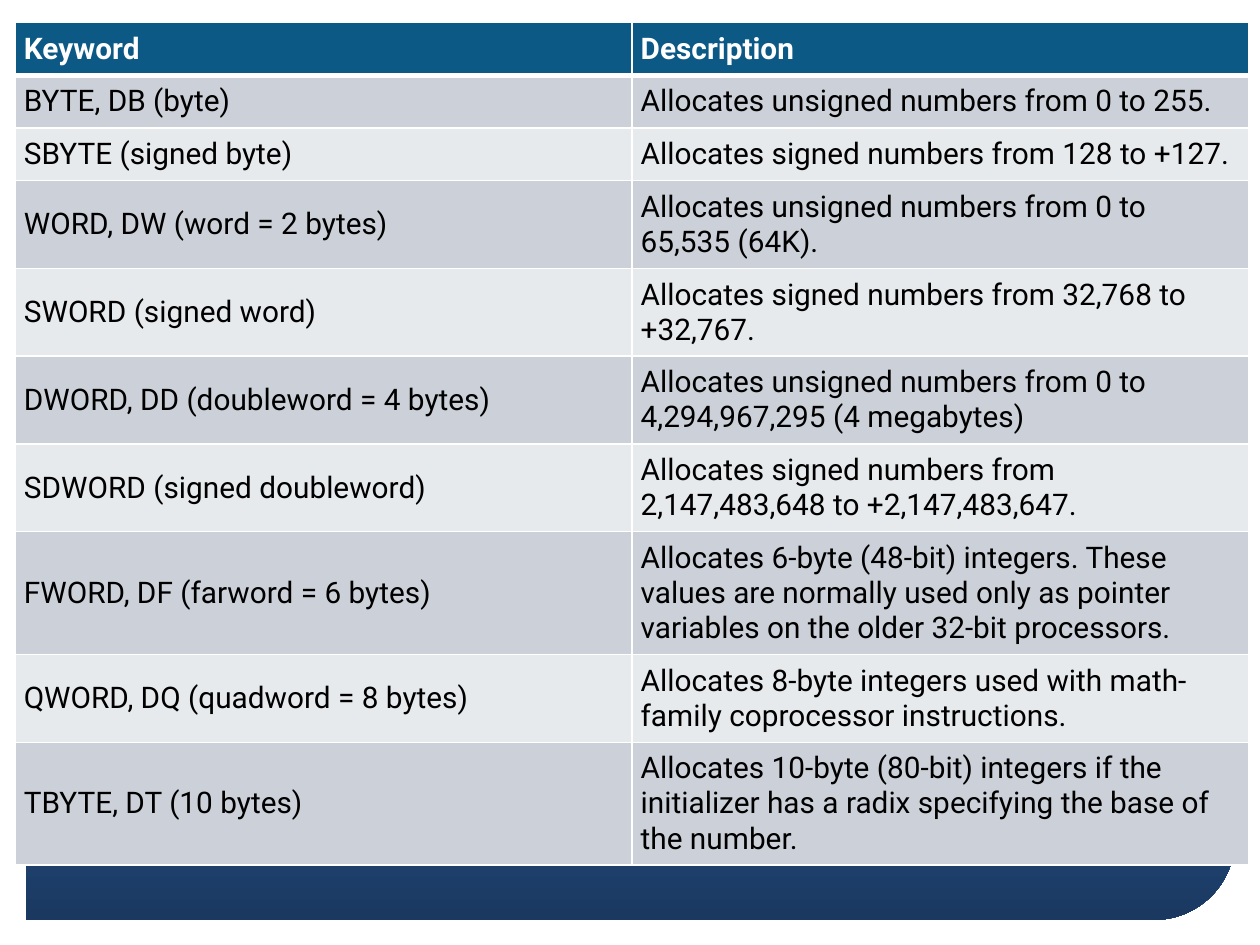
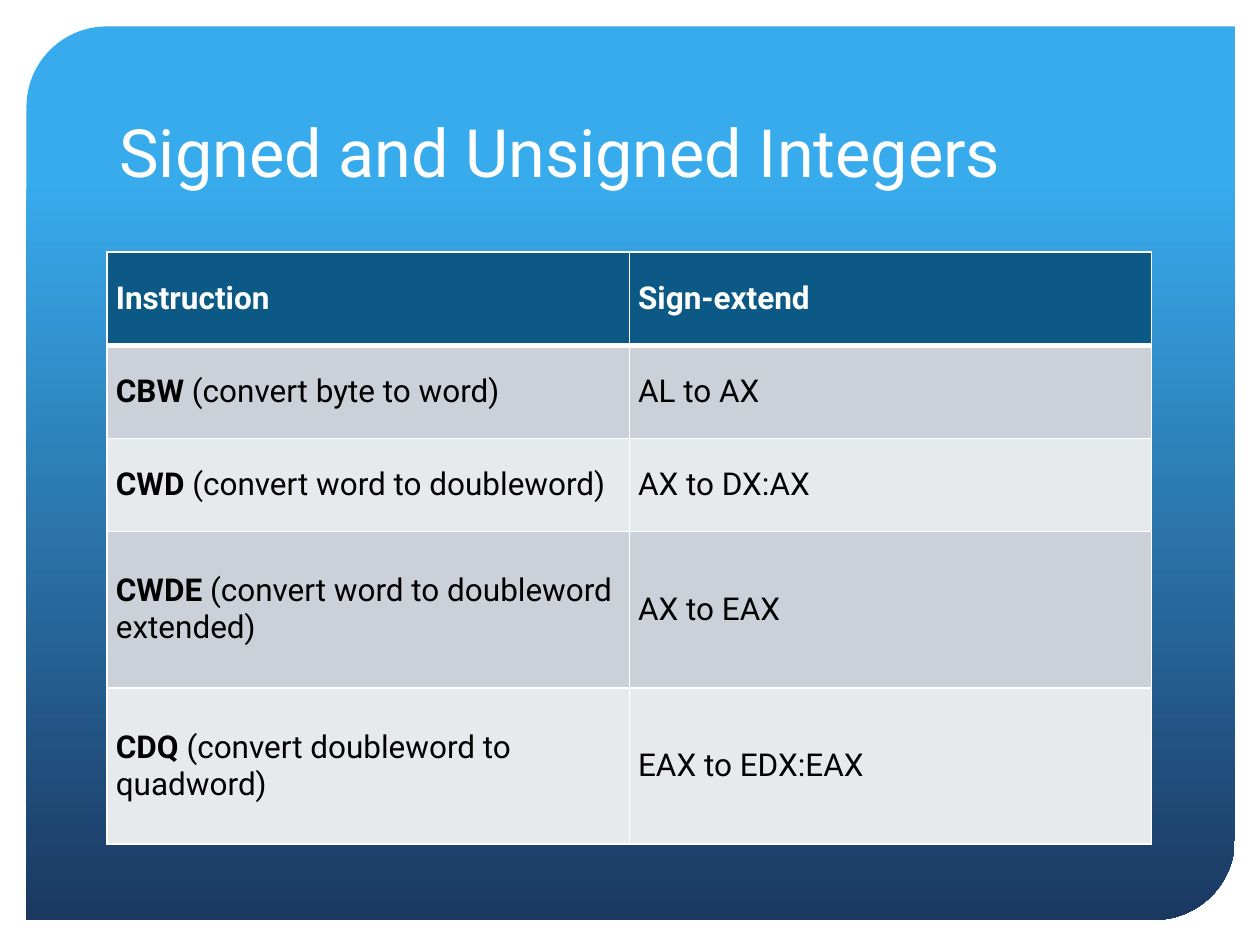
from lxml.etree import SubElement
from pptx import Presentation
from pptx.dml.color import RGBColor
from pptx.enum.shapes import MSO_SHAPE
from pptx.enum.text import MSO_ANCHOR
from pptx.oxml.ns import qn
from pptx.util import Inches, Pt

FONT = "Roboto"
COLORS = {
    "white": "FFFFFF", "black": "000000", "header": "0C5986",
    "odd": "CCD1D9", "even": "E7EAED", "sky": "38ABED", "navy": "1B3861",
}

DATA_TYPES = [
    ("Keyword", "Description"),
    ("BYTE, DB (byte)", "Allocates unsigned numbers from 0 to 255."),
    ("SBYTE (signed byte)", "Allocates signed numbers from 128 to +127."),
    ("WORD, DW (word = 2 bytes)",
     "Allocates unsigned numbers from 0 to 65,535 (64K)."),
    ("SWORD (signed word)",
     "Allocates signed numbers from 32,768 to +32,767."),
    ("DWORD, DD (doubleword = 4 bytes)",
     "Allocates unsigned numbers from 0 to 4,294,967,295 (4 megabytes)"),
    ("SDWORD (signed doubleword)",
     "Allocates signed numbers from 2,147,483,648 to +2,147,483,647."),
    ("FWORD, DF (farword = 6 bytes)",
     "Allocates 6-byte (48-bit) integers. These values are normally used "
     "only as pointer variables on the older 32-bit processors."),
    ("QWORD, DQ (quadword = 8 bytes)",
     "Allocates 8-byte integers used with math-family coprocessor instructions."),
    ("TBYTE, DT (10 bytes)",
     "Allocates 10-byte (80-bit) integers if the initializer has a radix "
     "specifying the base of the number."),
]
DATA_TYPE_LINES = [1, 1, 1, 2, 2, 2, 2, 3, 2, 3]

TITLE = "Signed and Unsigned Integers"
SIGN_EXTENSION = [
    ("Instruction", "Sign-extend"),
    (("CBW", " (convert byte to word)"), "AL to AX"),
    (("CWD", " (convert word to doubleword)"), "AX to DX:AX"),
    (("CWDE", " (convert word to doubleword extended)"), "AX to EAX"),
    (("CDQ", " (convert doubleword to quadword)"), "EAX to EDX:EAX"),
]
SIGN_EXTENSION_HEIGHTS = [0.74, 0.74, 0.74, 1.24, 1.24]

PAD = 0.07
LINE_HEIGHT = 0.27


def rgb(name):
    return RGBColor.from_string(COLORS[name])


def add_text(tf, text, size=18, color="black", bold=False):
    r = tf.paragraphs[0].add_run()
    r.text = text
    r.font.name = FONT
    r.font.size = Pt(size)
    r.font.bold = bold
    r.font.color.rgb = rgb(color)


def add_slide(prs):
    s = prs.slides.add_slide(prs.slide_layouts[6])
    sp = s.shapes.add_shape(MSO_SHAPE.ROUND_2_DIAG_RECTANGLE, Inches(0.21),
                            Inches(0.21), Inches(9.59), Inches(7.09))
    sp.adjustments[0] = 0.09
    sp.adjustments[1] = 0
    sp.shadow.inherit = False
    sp.line.fill.background()
    sp.fill.gradient()
    sp.fill.gradient_angle = 270
    stops = [("sky", 0.17), ("navy", 1)]
    for stop, (color, position) in zip(sp.fill.gradient_stops, stops):
        stop.color.rgb = rgb(color)
        stop.position = position
    return s


def set_borders(cell, bottom=1, top=1):
    tc_pr = cell._tc.get_or_add_tcPr()
    for side, width in (("L", 1), ("R", 1), ("T", top), ("B", bottom)):
        ln = SubElement(tc_pr, qn(f"a:ln{side}"), w=str(Pt(width)))
        fill = SubElement(ln, qn("a:solidFill"))
        SubElement(fill, qn("a:srgbClr"), val=COLORS["white"])


def add_table(s, rows, heights, left, top, width, size):
    frame = s.shapes.add_table(len(rows), len(rows[0]), Inches(left), Inches(top),
                               Inches(width), Inches(sum(heights)))
    table = frame.table
    table.first_row = table.horz_banding = False
    for i, (row, height) in enumerate(zip(rows, heights)):
        table.rows[i].height = Inches(height)
        header = i == 0
        for j, content in enumerate(row):
            cell = table.cell(i, j)
            set_borders(cell, bottom=3 if header else 1, top=3 if i == 1 else 1)
            cell.fill.solid()
            cell.fill.fore_color.rgb = rgb("header" if header else
                                           "odd" if i % 2 else "even")
            cell.vertical_anchor = MSO_ANCHOR.MIDDLE
            cell.margin_left = cell.margin_right = Inches(PAD)
            cell.margin_top = cell.margin_bottom = Inches(PAD)
            strong, plain = content if isinstance(content, tuple) else ("", content)
            if strong:
                add_text(cell.text_frame, strong, size=size, bold=True)
            add_text(cell.text_frame, plain, size=size, bold=header,
                     color="white" if header else "black")


def add_title(s, text):
    tf = s.shapes.add_textbox(Inches(0.85), Inches(0.42),
                              Inches(8.29), Inches(1.14)).text_frame
    tf.word_wrap = True
    tf.vertical_anchor = MSO_ANCHOR.BOTTOM
    add_text(tf, text, size=38, color="white")


def main():
    prs = Presentation()
    prs.slide_width, prs.slide_height = Inches(10), Inches(7.5)

    s = add_slide(prs)
    heights = [2 * PAD + LINE_HEIGHT * n for n in DATA_TYPE_LINES]
    add_table(s, DATA_TYPES, heights, left=0.12, top=0.18, width=9.79, size=17)

    s = add_slide(prs)
    add_title(s, TITLE)
    add_table(s, SIGN_EXTENSION, SIGN_EXTENSION_HEIGHTS,
              left=0.85, top=2, width=8.29, size=18)

    prs.save("out.pptx")


if __name__ == "__main__":
    main()
